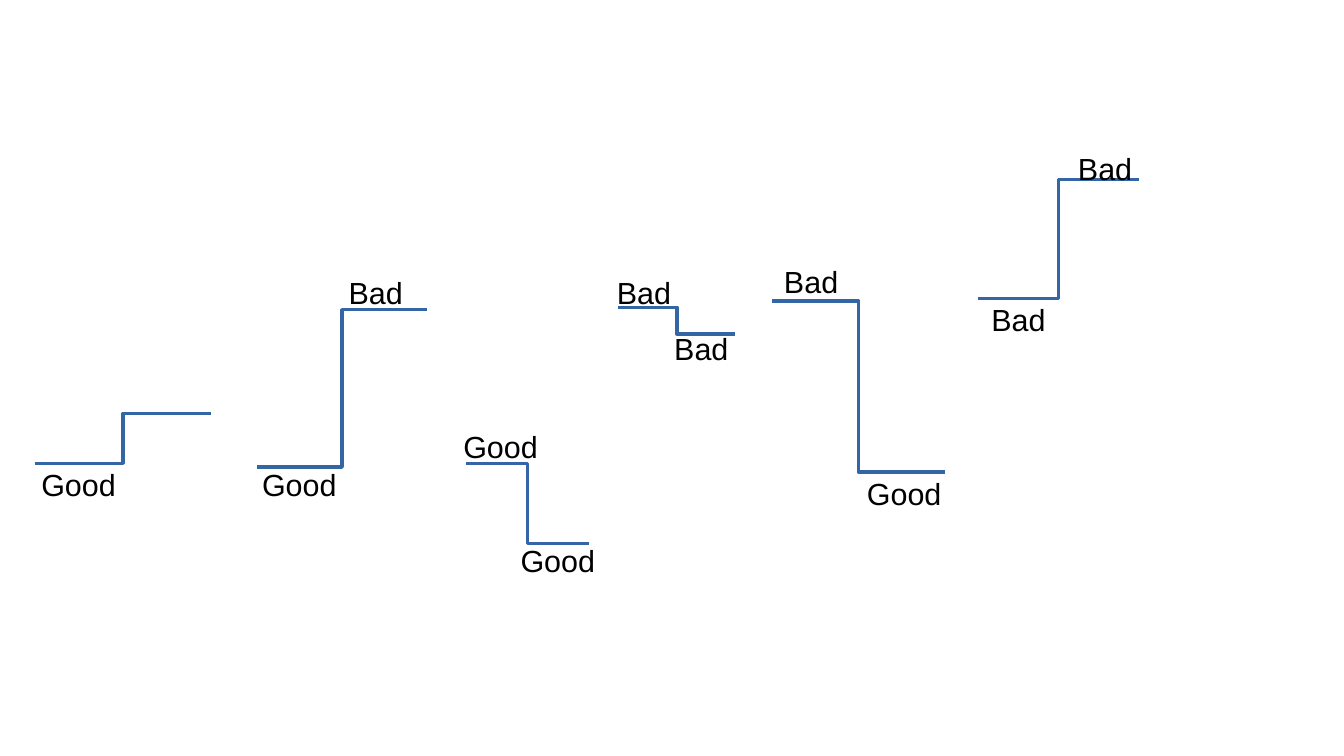
from dataclasses import dataclass

from lxml import etree
from pptx import Presentation
from pptx import util as u
from pptx.dml.color import RGBColor
from pptx.enum import shapes, text
from pptx.oxml import ns


@dataclass(frozen=True)
class Theme:
    font: str = "Arial"
    label_size: u.Pt = u.Pt(18)
    label_color: RGBColor = RGBColor(0x00, 0x00, 0x00)
    step_color: RGBColor = RGBColor(0x34, 0x65, 0xA4)
    step_width: u.Pt = u.Pt(0)  # hairline


THEME = Theme()
LABEL_WIDTH = 1.02
LABEL_HEIGHTS = {"Good": 1.03, "Bad": 1.12}

# Each step: start x, start y, end x, end y
STEPS = [
    (0.29, 3.80, 1.73, 3.39),
    (2.11, 3.83, 3.50, 2.54),
    (3.82, 3.80, 4.83, 4.46),
    (5.07, 2.52, 6.03, 2.74),
    (6.33, 2.47, 7.75, 3.87),
    (8.02, 2.45, 9.34, 1.47),
]

# Each label: wording, left, top
STEP_LABELS = [
    ("Good", 0.24, 3.77),
    ("Good", 3.70, 3.46),
    ("Bad", 2.76, 2.20),
    ("Bad", 4.96, 2.20),
    ("Bad", 5.43, 2.66),
    ("Bad", 6.33, 2.11),
    ("Bad", 8.03, 2.42),
    ("Good", 2.05, 3.77),
    ("Good", 7.01, 3.85),
]
LOWER_LABEL = ("Good", 4.17, 4.40)
UPPER_LABEL = ("Bad", 8.74, 1.18)


def add_step(container, *ends):
    """Draw one step as an elbow connector."""
    step = container.add_connector(
        shapes.MSO_CONNECTOR.ELBOW, *(u.Inches(end) for end in ends))
    step.line.color.rgb = THEME.step_color
    step.line.width = THEME.step_width
    etree.SubElement(step._element.spPr, ns.qn("a:effectLst"))


def add_label(container, wording, left, top):
    """Place one rating label."""
    label = container.add_textbox(
        u.Inches(left), u.Inches(top),
        u.Inches(LABEL_WIDTH), u.Inches(LABEL_HEIGHTS[wording]))
    text_frame = label.text_frame
    text_frame.word_wrap = True
    text_frame.auto_size = text.MSO_AUTO_SIZE.SHAPE_TO_FIT_TEXT
    text_frame.text = wording
    font = text_frame.paragraphs[0].runs[0].font
    font.name = THEME.font
    font.size = THEME.label_size
    font.color.rgb = THEME.label_color


def main():
    presentation = Presentation()
    presentation.slide_width = u.Inches(11.02)
    presentation.slide_height = u.Inches(6.2)
    slide = presentation.slides.add_slide(presentation.slide_layouts[6])

    # Label behind the group
    add_label(slide.shapes, *LOWER_LABEL)

    # Grouped steps and their labels
    group = slide.shapes.add_group_shape()
    for step in STEPS:
        add_step(group.shapes, *step)
    for label in STEP_LABELS:
        add_label(group.shapes, *label)

    # Label in front of the group
    add_label(slide.shapes, *UPPER_LABEL)

    presentation.save("out.pptx")


if __name__ == "__main__":
    main()
